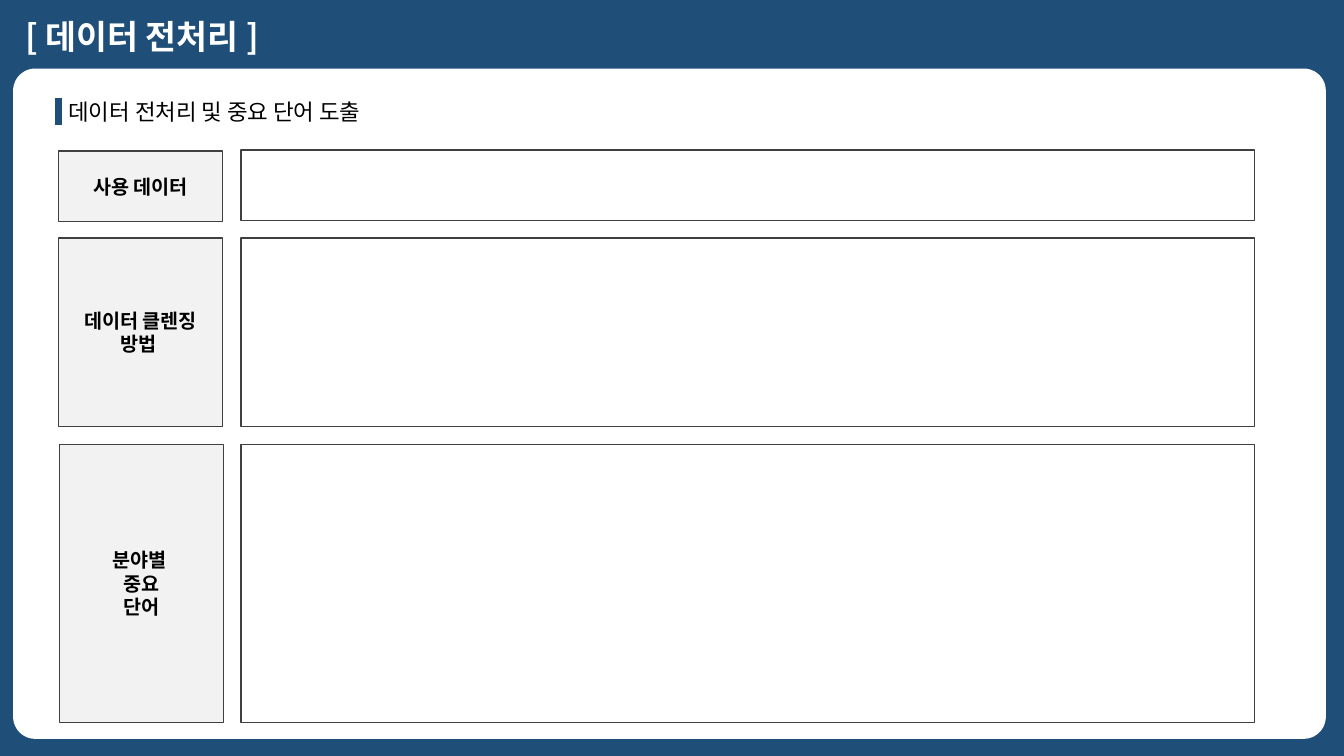
from pptx import Presentation
from pptx.dml.color import RGBColor
from pptx.enum.shapes import MSO_CONNECTOR, MSO_SHAPE
from pptx.enum.text import MSO_ANCHOR, MSO_AUTO_SIZE, PP_ALIGN
from pptx.oxml.ns import qn
from pptx.util import Inches, Pt

NAVY = RGBColor(0x1F, 0x4E, 0x79)
WHITE = RGBColor(0xFF, 0xFF, 0xFF)
BLACK = RGBColor(0x00, 0x00, 0x00)
LIGHT = RGBColor(0xF2, 0xF2, 0xF2)
DARK = RGBColor(0x40, 0x40, 0x40)

SLIDE_W, SLIDE_H = 13.33, 7.5
LABEL_W = 1.63
CONTENT_X, CONTENT_W = 1.81, 10.05  # offset from the left of the row

# Label text, label offset (x, y), row top and row height
ROWS = [
    ("사용 데이터", (0, 0.01), 1.49, 0.7),
    ("데이터 클렌징\n방법 ", (0, 0), 2.36, 1.87),
    ("분야별 \n중요\n단어", (0.01, 0), 4.41, 2.76),
]


def add_box(s, x, y, w, h, fill, line=None, kind=MSO_SHAPE.RECTANGLE):
    sp = s.shapes.add_shape(kind, Inches(x), Inches(y), Inches(w), Inches(h))
    sp.shadow.inherit = False
    sp.fill.solid()
    sp.fill.fore_color.rgb = fill
    if line is None:
        sp.line.fill.background()
    else:
        sp.line.color.rgb = line
        sp.line.width = Pt(1)
    return sp


def write(sp, text, size, color, font="Arial", bold=False,
          align=PP_ALIGN.LEFT, anchor=MSO_ANCHOR.MIDDLE):
    tf = sp.text_frame
    tf.word_wrap = True
    tf.vertical_anchor = anchor
    tf.text = text
    for p in tf.paragraphs:
        p.alignment = align
        for r in p.runs:
            r.font.name = font
            r.font.size = Pt(size)
            r.font.bold = bold
            r.font.color.rgb = color


def add_text(s, x, y, w, h, text, size, color, **style):
    sp = s.shapes.add_textbox(Inches(x), Inches(y), Inches(w), Inches(h))
    write(sp, text, size, color, **style)
    return sp


def add_frame(s, w, h):
    # Navy border with a rounded white page
    add_box(s, 0, 0, w, h, NAVY)
    page = add_box(s, 0.13, 0.68, w - 0.31, h - 0.85, WHITE,
                   kind=MSO_SHAPE.ROUNDED_RECTANGLE)
    page.adjustments[0] = 0.033


def add_title(s, x, y, w, h):
    sp = add_text(s, x, y, w, h, "[ 데이터 전처리 ]", 24, WHITE,
                  font="Noto Sans CJK KR", bold=True, anchor=MSO_ANCHOR.TOP)
    sp.text_frame.auto_size = MSO_AUTO_SIZE.SHAPE_TO_FIT_TEXT


def add_heading(s, x, y, w, h):
    # Heading text with a thick bar at its left
    add_text(s, x, y, w, h, "데이터 전처리 및 중요 단어 도출", 16, BLACK)
    bar = s.shapes.add_connector(MSO_CONNECTOR.STRAIGHT, Inches(x), Inches(y + 0.03),
                                 Inches(x), Inches(y + 0.3))
    bar.line.color.rgb = NAVY
    bar.line.width = Pt(4.5)
    sp_pr = bar._element.spPr
    sp_pr.append(sp_pr.makeelement(qn("a:effectLst"), {}))


def add_row(s, x, y, h, text, offset):
    # Shaded label and empty content box
    dx, dy = offset
    label = add_box(s, x + dx, y + dy, LABEL_W, h, LIGHT, DARK)
    write(label, text, 14, BLACK, bold=True, align=PP_ALIGN.CENTER)
    add_box(s, x + CONTENT_X, y, CONTENT_W, h, WHITE, DARK)


def main():
    prs = Presentation()
    prs.slide_width, prs.slide_height = Inches(SLIDE_W), Inches(SLIDE_H)
    s = prs.slides.add_slide(prs.slide_layouts[6])
    add_frame(s, SLIDE_W, SLIDE_H)
    add_title(s, 0.15, 0.11, 7.59, 0.5)
    add_heading(s, 0.58, 0.94, 9.51, 0.34)
    for text, offset, top, height in ROWS:
        add_row(s, 0.58, top, height, text, offset)
    prs.save("out.pptx")


if __name__ == "__main__":
    main()
